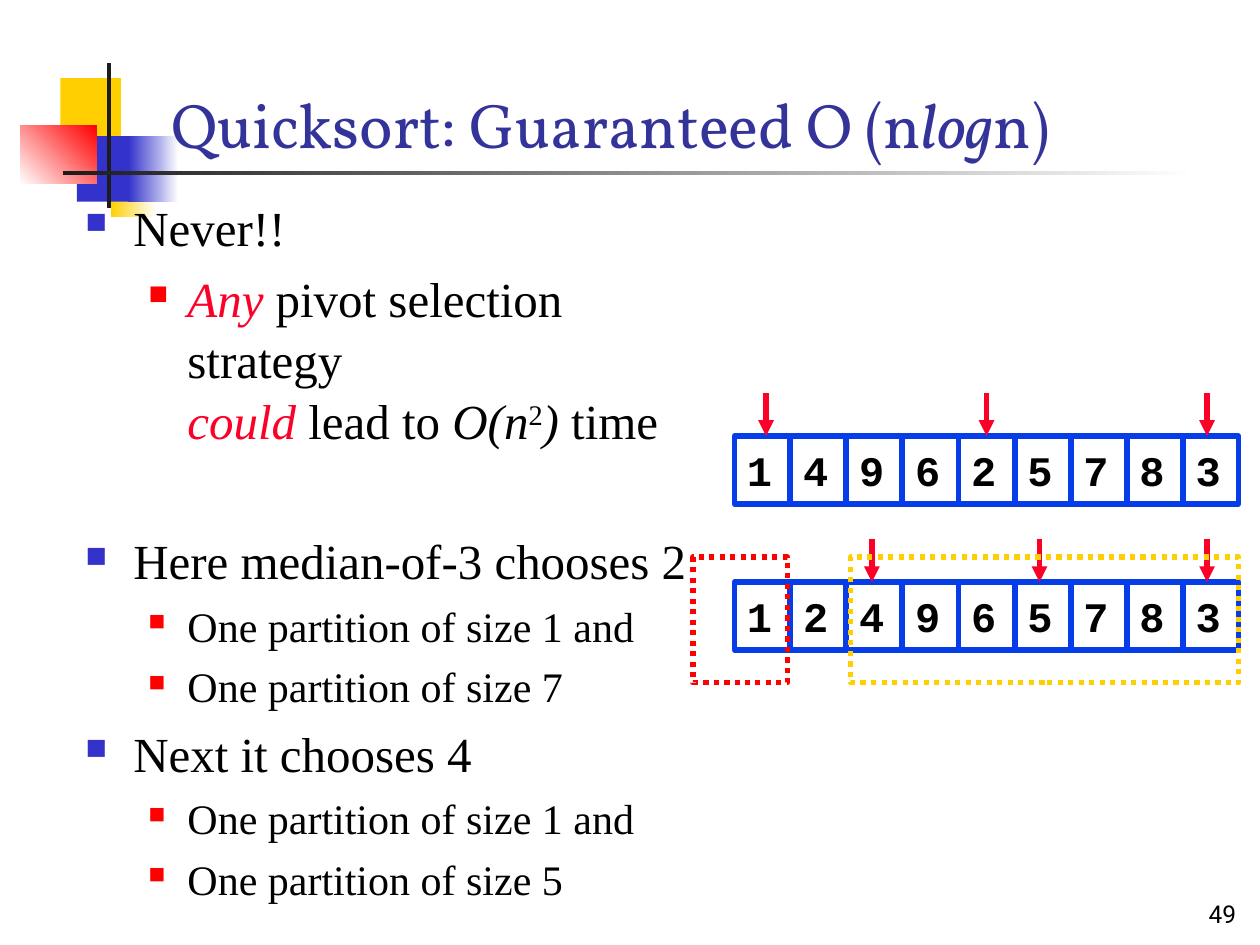
"""Builds the slide on quicksort's guaranteed running time."""
from lxml import etree
from pptx import Presentation
from pptx.dml.color import RGBColor
from pptx.enum.dml import MSO_LINE
from pptx.enum.shapes import MSO_CONNECTOR, MSO_SHAPE
from pptx.enum.text import MSO_ANCHOR, MSO_AUTO_SIZE, PP_ALIGN
from pptx.oxml.ns import qn
from pptx.util import Inches, Pt

RECT = MSO_SHAPE.RECTANGLE
DOTTED = MSO_LINE.ROUND_DOT
STRAIGHT = MSO_CONNECTOR.STRAIGHT
LEFT, RIGHT = PP_ALIGN.LEFT, PP_ALIGN.RIGHT
BOTTOM, MIDDLE = MSO_ANCHOR.BOTTOM, MSO_ANCHOR.MIDDLE
NO_FIT = MSO_AUTO_SIZE.NONE
COLORS = {
    "gold": "FFCF01", "indigo": "3333CC", "white": "FFFFFF", "red": "FF0000",
    "ink": "1C1C1C", "title": "333399", "black": "000000",
    "accent": "FC0128", "cell": "063DE8",
}
RGB = {name: RGBColor.from_string(value) for name, value in COLORS.items()}

prs = Presentation()
prs.slide_width, prs.slide_height = Inches(10), Inches(7.5)
slide = prs.slides.add_slide(prs.slide_layouts[5])
shapes = slide.shapes


def add_box(left, top, width, height, line=None):
    box = shapes.add_shape(RECT, Inches(left), Inches(top), Inches(width), Inches(height))
    box.shadow.inherit = False
    box.fill.background()
    if line:
        box.line.color.rgb = RGB[line]
        box.line.width = Pt(3)
    else:
        box.line.fill.background()
    return box


def add_run(paragraph, text, font, size, color="black", italic=False, bold=False):
    run = paragraph.add_run()
    run.text = text
    run.font.name, run.font.size = font, Pt(size)
    run.font.color.rgb = RGB[color]
    run.font.italic, run.font.bold = italic, bold
    return run


ornaments = [
    (0.48, 0.62, 0.48, 0.52, ["gold"], 0),
    (0.88, 1.2, 0.36, 0.52, ["gold", "white"], 0),
    (0.61, 1.08, 0.46, 0.52, ["indigo"], 0),
    (1.02, 1.08, 0.4, 0.52, ["indigo", "white"], 0),
    (0.16, 1, 0.61, 0.46, ["white", "red"], 45),
    (0.85, 0.5, 0.03, 1.15, ["ink"], 0),
    (0.5, 1.36, 9, 0.03, ["ink", "white"], 0),
]
for left, top, width, height, tones, angle in ornaments:
    fill = add_box(left, top, width, height).fill
    if len(tones) == 1:
        fill.solid()
        fill.fore_color.rgb = RGB[tones[0]]
    else:
        fill.gradient()
        fill.gradient_angle = angle
        for stop, tone in zip(fill.gradient_stops, tones):
            stop.color.rgb = RGB[tone]

title = shapes.title
title.left, title.top = Inches(1.26), Inches(0.25)
title.width, title.height = Inches(8.52), Inches(1.08)
title.text_frame.auto_size = NO_FIT
title.text_frame.vertical_anchor = BOTTOM
heading = title.text_frame.paragraphs[0]
heading.alignment = LEFT
for text, italic in [("Quicksort: Guaranteed O (n", False), ("log", True), ("n)", False)]:
    add_run(heading, text, "Vollkorn", 36, "title", italic)
shapes._spTree.append(title._element)

page_number = shapes.add_textbox(Inches(7.83), Inches(6.92), Inches(2.08), Inches(0.5)).text_frame
page_number.word_wrap = True
page_number.vertical_anchor = BOTTOM
page_number.paragraphs[0].alignment = RIGHT
add_run(page_number.paragraphs[0], "49", "Roboto", 14)

bullet_styles = [(0.38, -0.38, "indigo", 60), (0.81, -0.31, "red", 55)]
points = [
    (0, 28, 0, [("Never!!",)]),
    (1, 28, 5.6, [("Any", "accent", True), (" pivot selection strategy ",), None,
                  ("could ", "accent", True), ("lead to ",), ("O(n", "black", True),
                  ("2",), (") ", "black", True), ("time",)]),
    (0, 28, 45, [("Here median-of-3 chooses 2",)]),
    (1, 24, 4.8, [("One partition of size 1 and",)]),
    (1, 24, 4.8, [("One partition of size 7",)]),
    (0, 28, 5.6, [("Next it chooses 4",)]),
    (1, 24, 4.8, [("One partition of size 1 and",)]),
    (1, 24, 4.8, [("One partition of size 5",)]),
]
body = shapes.add_textbox(Inches(0.58), Inches(1.5), Inches(5.17), Inches(5.21)).text_frame
body.word_wrap = True
for index, (level, size, gap, parts) in enumerate(points):
    point = body.add_paragraph() if index else body.paragraphs[0]
    point.level = level
    point.line_spacing = 1.04
    point.space_before = Pt(gap)
    margin, indent, tone, percent = bullet_styles[level]
    props = point._p.get_or_add_pPr()
    props.set("marL", str(Inches(margin)))
    props.set("indent", str(Inches(indent)))
    bullet_color = etree.SubElement(props, qn("a:buClr"))
    etree.SubElement(bullet_color, qn("a:srgbClr"), val=COLORS[tone])
    etree.SubElement(props, qn("a:buSzPct"), val=str(percent * 1000))
    etree.SubElement(props, qn("a:buChar"), char="■")
    for part in parts:
        if part is None:
            point.add_line_break()
            continue
        text, *style = part
        run = add_run(point, text, "Times New Roman", size, *style)
        if text == "2":
            run.font._element.set("baseline", "30000")

arrays = [(3.46, "149625783", (6.08, 7.83, 9.58)), (4.62, "124965783", (6.92, 8.25, 9.58))]
for top, digits, arrow_positions in arrays:
    for column, digit in enumerate(digits):
        cell = add_box(5.83 + column * 0.445, top, 0.44, 0.54, "cell").text_frame
        cell.word_wrap = False
        cell.vertical_anchor = MIDDLE
        cell.paragraphs[0].alignment = LEFT
        add_run(cell.paragraphs[0], digit, "Courier New", 24, bold=True)
    for x in arrow_positions:
        arrow = shapes.add_connector(
            STRAIGHT, Inches(x), Inches(top - 0.34), Inches(x), Inches(top))
        arrow.line.color.rgb = RGB["accent"]
        arrow.line.width = Pt(3)
        etree.SubElement(arrow.line._get_or_add_ln(), qn("a:tailEnd"), type="triangle")
        etree.SubElement(arrow._element.spPr, qn("a:effectLst"))

for left, width, tone in [(5.5, 0.75, "red"), (6.75, 3.08, "gold")]:
    add_box(left, 4.42, width, 1, tone).line.dash_style = DOTTED

prs.save("out.pptx")
